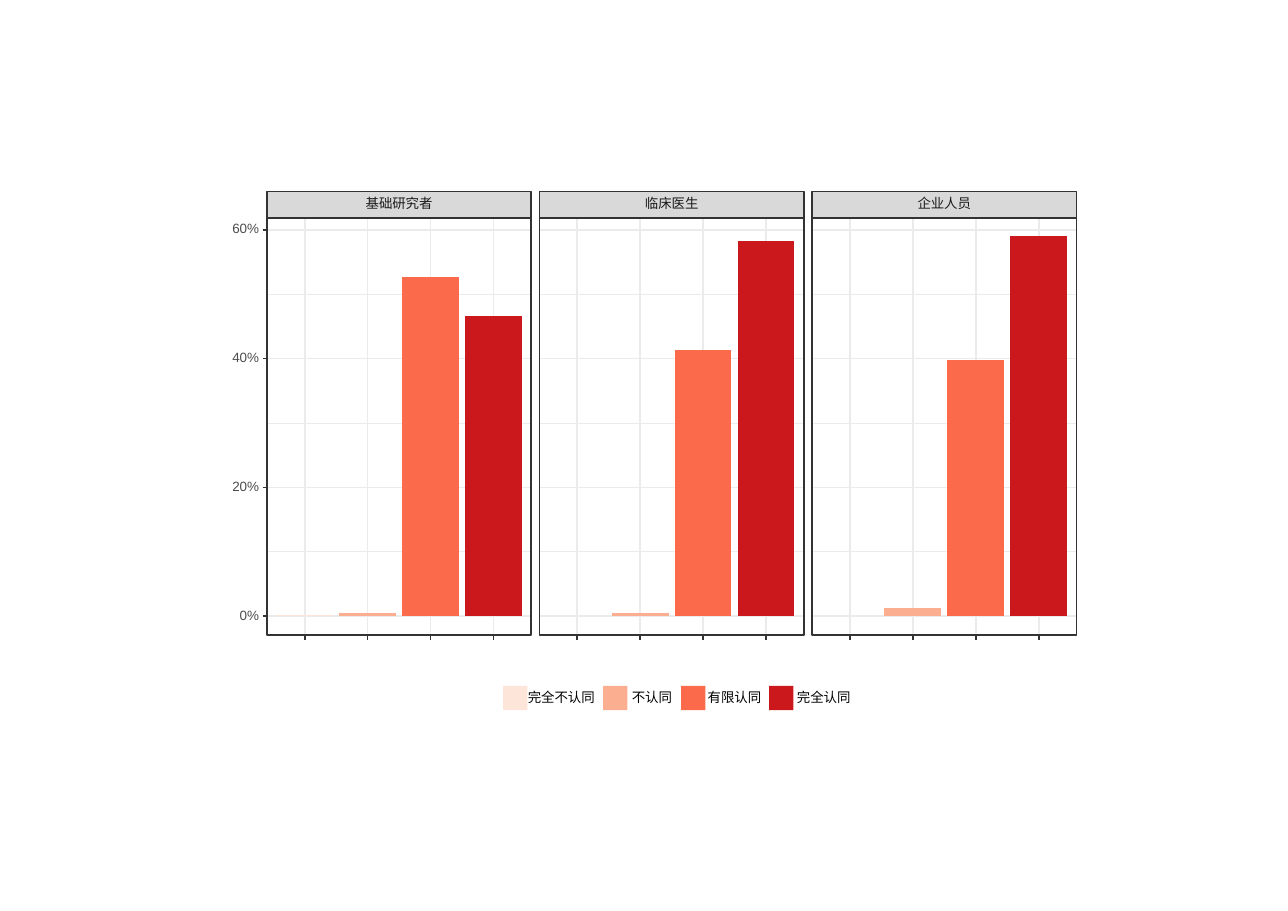
from lxml import etree
from pptx import Presentation
from pptx import util as u
from pptx.chart.data import CategoryChartData
from pptx.dml.color import RGBColor
from pptx.enum import chart as ch, shapes, text
from pptx.oxml import parse_xml
from pptx.oxml.ns import nsdecls, qn

WHITE = RGBColor(0xFF, 0xFF, 0xFF)
BLACK = RGBColor(0, 0, 0)
GRID = RGBColor(0xEB, 0xEB, 0xEB)
FRAME = RGBColor(0x33, 0x33, 0x33)
STRIP = RGBColor(0xD9, 0xD9, 0xD9)
STRIP_TEXT = RGBColor(0x1A, 0x1A, 0x1A)
AXIS_TEXT = RGBColor(0x4D, 0x4D, 0x4D)
LEVEL_COLORS = [RGBColor(0xFE, 0xE5, 0xD9), RGBColor(0xFC, 0xAE, 0x91),
                RGBColor(0xFB, 0x6A, 0x4A), RGBColor(0xCB, 0x18, 0x1D)]
LEVELS = ["完全不认同", "不认同", "有限认同", "完全认同"]
GROUPS = {
    "基础研究者": (0.002, 0.005, 0.527, 0.466),
    "临床医生": (0, 0.004, 0.413, 0.583),
    "企业人员": (0, 0.013, 0.397, 0.59),
}
LEGEND_LEFTS = [(0, 0.57), (2.31, 2.97), (4.11, 4.72), (6.14, 6.78)]

FONT, SIZE = "Arial", u.Pt(8.8)
THICK, THIN = 1.07, 0.53
STRIP_H = 0.61
TICK = 0.1
TOP_GAP = 0.27
STEP = 2.97
SCALE_H = 3 * STEP


def add_rect(s, x, y, w, h, fill=None, line=None):
    sp = s.shapes.add_shape(shapes.MSO_SHAPE.RECTANGLE, u.Cm(x), u.Cm(y), u.Cm(w), u.Cm(h))
    sp.shadow.inherit = False
    if fill is None:
        sp.fill.background()
    else:
        sp.fill.solid()
        sp.fill.fore_color.rgb = fill
    if line is None:
        sp.line.fill.background()
    else:
        sp.line.color.rgb = line
        sp.line.width = u.Pt(THICK)
    return sp


def add_line(s, x1, y1, x2, y2, color, width=THICK):
    c = s.shapes.add_connector(shapes.MSO_CONNECTOR.STRAIGHT,
                               u.Cm(x1), u.Cm(y1), u.Cm(x2), u.Cm(y2))
    c.line.color.rgb = color
    c.line.width = u.Pt(width)
    etree.SubElement(c._element.spPr, qn("a:effectLst"))


def write(sp, words, color, align):
    tf = sp.text_frame
    tf.margin_left = tf.margin_right = tf.margin_top = tf.margin_bottom = 0
    tf.word_wrap = False
    tf.vertical_anchor = text.MSO_ANCHOR.MIDDLE
    p = tf.paragraphs[0]
    p.alignment = align
    p.line_spacing = SIZE
    r = p.add_run()
    r.text = words
    r.font.name = FONT
    r.font.size = SIZE
    r.font.color.rgb = color


def add_label(s, x, y, w, h, words, color, align):
    sp = s.shapes.add_textbox(u.Cm(x), u.Cm(y), u.Cm(w), u.Cm(h))
    write(sp, words, color, align)


def fill_frame_with_plot(chart):
    space = chart._chartSpace
    area = space.find(".//" + qn("c:plotArea"))
    for old in area.findall(qn("c:layout")):
        area.remove(old)
    area.insert(0, parse_xml(
        f'<c:layout {nsdecls("c")}><c:manualLayout><c:layoutTarget val="inner"/>'
        '<c:xMode val="edge"/><c:yMode val="edge"/><c:x val="0"/><c:y val="0"/>'
        '<c:w val="1"/><c:h val="1"/></c:manualLayout></c:layout>'))
    clear = (f'<c:spPr {nsdecls("c", "a")}><a:noFill/><a:ln><a:noFill/></a:ln></c:spPr>')
    area.append(parse_xml(clear))
    space.find(qn("c:chart")).addnext(parse_xml(clear))


def add_bars(s, x, y, w, h, group, values):
    data = CategoryChartData(number_format="0.0%")
    data.categories = LEVELS
    data.add_series(group, values)
    chart = s.shapes.add_chart(ch.XL_CHART_TYPE.COLUMN_CLUSTERED,
                               u.Cm(x), u.Cm(y), u.Cm(w), u.Cm(h), data).chart
    chart.has_legend = False
    chart.has_title = False
    chart.font.name = FONT
    chart.font.size = SIZE
    axis = chart.value_axis
    axis.minimum_scale, axis.maximum_scale, axis.major_unit = 0, 0.6, 0.2
    axis.has_major_gridlines = False
    axis.visible = False
    chart.category_axis.visible = False
    plot = chart.plots[0]
    plot.gap_width = 11
    plot.vary_by_categories = False
    for i, color in enumerate(LEVEL_COLORS):
        point = plot.series[0].points[i]
        point.format.fill.solid()
        point.format.fill.fore_color.rgb = color
        point.format.line.fill.background()
    fill_frame_with_plot(chart)


def add_panel(s, x, y, w, h, group, values):
    top, bottom = y + STRIP_H, y + h
    zero = top + TOP_GAP + SCALE_H
    unit = w / 4.2
    centres = [x + (0.6 + i) * unit for i in range(len(LEVELS))]
    add_rect(s, x, top, w, h - STRIP_H, fill=WHITE)
    for start, width in ((0.5, THIN), (0, THICK)):
        for i in range(3 if start else 4):
            level = zero - (start + i) * STEP
            add_line(s, x, level, x + w, level, GRID, width)
    for centre in centres:
        add_line(s, centre, top, centre, bottom, GRID)
    add_bars(s, x + 0.1 * unit, top + TOP_GAP, 4 * unit, SCALE_H, group, values)
    add_rect(s, x, top, w, h - STRIP_H, line=FRAME)
    strip = add_rect(s, x, y, w, STRIP_H, STRIP, FRAME)
    write(strip, group, STRIP_TEXT, text.PP_ALIGN.CENTER)
    for centre in centres:
        add_line(s, centre, bottom, centre, bottom + TICK, FRAME)


def add_percent_axis(s, right, top):
    for i in range(4):
        level = top + SCALE_H - i * STEP
        add_label(s, right - 1.18, level - 0.2, 1, 0.4, f"{20 * i}%",
                  AXIS_TEXT, text.PP_ALIGN.RIGHT)
        add_line(s, right - TICK, level, right, level, FRAME)


def add_legend(s, x, y, side):
    for level, color, (key, label) in zip(LEVELS, LEVEL_COLORS, LEGEND_LEFTS):
        add_rect(s, x + key, y, side, side, fill=color)
        add_label(s, x + label, y, 1.6, side, level, BLACK, text.PP_ALIGN.LEFT)


def main():
    prs = Presentation()
    prs.slide_width, prs.slide_height = u.Cm(29.72), u.Cm(21.01)
    s = prs.slides.add_slide(prs.slide_layouts[6])
    left, top, pitch = 6.16, 4.42, 6.29
    for i, (group, values) in enumerate(GROUPS.items()):
        add_panel(s, left + i * pitch, top, 6.1, 10.23, group, values)
    add_percent_axis(s, left, top + STRIP_H + TOP_GAP)
    add_legend(s, 11.61, 15.82, 0.56)
    prs.save("out.pptx")


if __name__ == "__main__":
    main()
